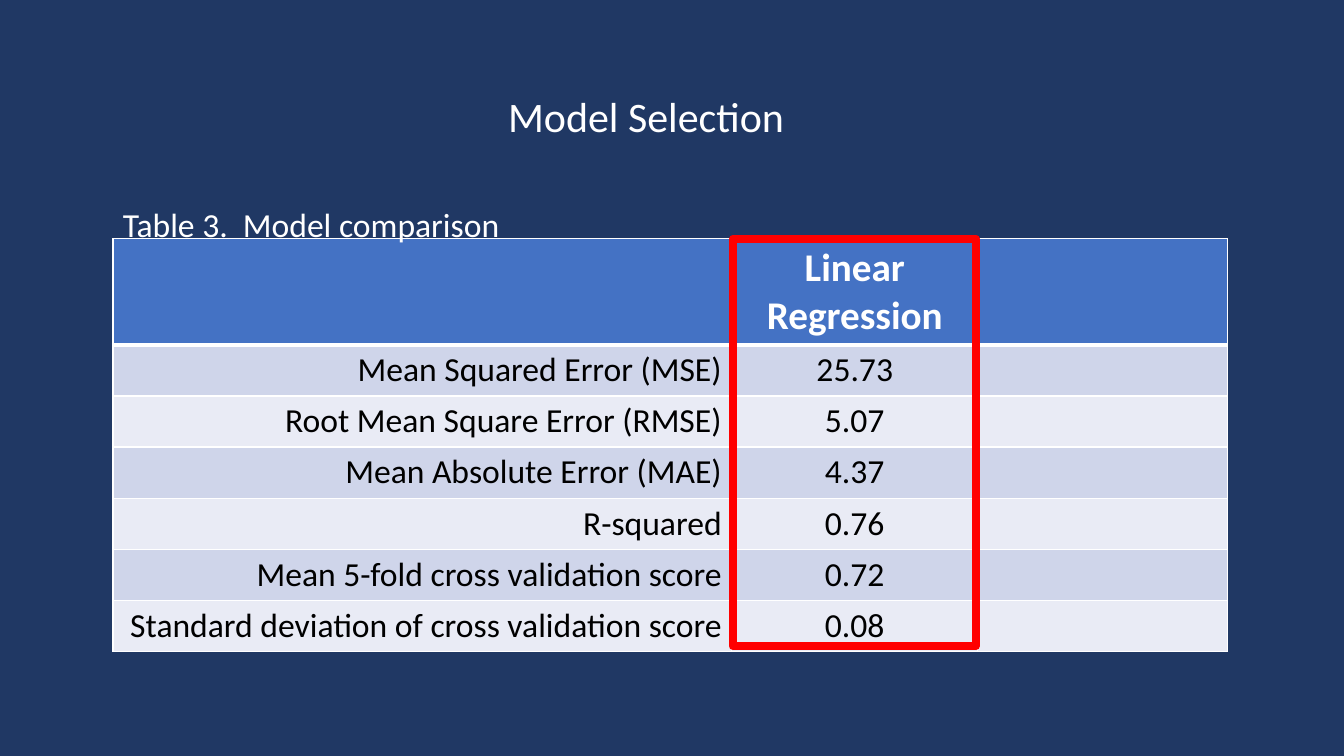
from dataclasses import dataclass

from lxml import etree
from pptx import Presentation
from pptx.dml.color import RGBColor
from pptx.enum.shapes import MSO_SHAPE
from pptx.enum.text import MSO_ANCHOR, PP_ALIGN
from pptx.oxml.ns import qn
from pptx.util import Inches, Pt

LEFT, CENTER, RIGHT = PP_ALIGN.LEFT, PP_ALIGN.CENTER, PP_ALIGN.RIGHT
MIDDLE = MSO_ANCHOR.MIDDLE
RECT = MSO_SHAPE.RECTANGLE


@dataclass(frozen=True)
class Theme:
    font: str = "Calibri"
    back: str = "203864"
    head: str = "4472C4"
    bands: tuple = ("CFD5EA", "E9EBF5")
    white: str = "FFFFFF"
    black: str = "000000"
    mark: str = "FF0000"
    title: int = 30
    label: int = 28
    body: int = 24
    thin: int = 1
    thick: int = 3
    frame: int = 6


THEME = Theme()

# Grid lengths: one column or row is a tenth of an inch
COLS, ROWS = 133.33, 75
TITLE = (9.2, 4, 115, 14.5)
TABLE = (11.2, 23.7, 110.5, 40.4)
WIDTHS = (61.4, 24.4, 24.8)
HEAD_ROW, BODY_ROW = 10.4, 5

SCORES = [
    ("Mean Squared Error (MSE)", "25.73"),
    ("Root Mean Square Error (RMSE)", "5.07"),
    ("Mean Absolute Error (MAE)", "4.37"),
    ("R-squared", "0.76"),
    ("Mean 5-fold cross validation score", "0.72"),
    ("Standard deviation of cross validation score", "0.08"),
]


def grid(n):
    return Inches(n / 10)


def color(code):
    return RGBColor.from_string(code)


def paint(fill, code):
    fill.solid()
    fill.fore_color.rgb = color(code)


def write(frame, text, size=THEME.body, ink=THEME.white, bold=False,
          align=LEFT, space=1.0):
    para = frame.paragraphs[0]
    para.alignment = align
    para.line_spacing = space
    run = para.add_run()
    run.text = text
    font = run.font
    font.name, font.size, font.bold = THEME.font, Pt(size), bold
    font.color.rgb = color(ink)


def edge(cell, side, width):
    props = cell._tc.get_or_add_tcPr()
    line = etree.SubElement(props, qn("a:ln" + side), w=str(Pt(width)))
    fill = etree.SubElement(line, qn("a:solidFill"))
    etree.SubElement(fill, qn("a:srgbClr"), val=THEME.white)


def heading(slide, box):
    title = slide.shapes.title
    title.left, title.top, title.width, title.height = map(grid, box)
    frame = title.text_frame
    frame.word_wrap = True
    frame.vertical_anchor = MIDDLE
    # Uneven insets set the text a little left of and below the centre
    frame.margin_right, frame.margin_top = grid(6.2), grid(1.6)
    write(frame, "Model Selection", size=THEME.title, align=CENTER, space=0.9)


def scores(slide, box):
    rows = [("", "Linear Regression")] + SCORES
    table = slide.shapes.add_table(len(rows), len(WIDTHS),
                                   *map(grid, box)).table
    for col, width in zip(table.columns, WIDTHS):
        col.width = grid(width)
    for r, texts in enumerate(rows):
        head = r == 0
        table.rows[r].height = grid(HEAD_ROW if head else BODY_ROW)
        style = (dict(size=THEME.label, bold=True) if head
                 else dict(ink=THEME.black))
        for c in range(len(WIDTHS)):
            cell = table.cell(r, c)
            # Borders, with a thick rule under the header
            for side in "LRTB":
                rule = (r, side) in ((0, "B"), (1, "T"))
                edge(cell, side, THEME.thick if rule else THEME.thin)
            paint(cell.fill, THEME.head if head else THEME.bands[(r - 1) % 2])
            if c < len(texts) and texts[c]:
                write(cell.text_frame, texts[c],
                      align=CENTER if c else RIGHT, **style)


def caption(slide, box):
    x, y, w, _ = box
    label = slide.shapes.add_textbox(*map(grid, (x, y - 4, w, 5)))
    label.text_frame.word_wrap = True
    write(label.text_frame, "Table 3.  Model comparison")


def focus(slide, box):
    x, y, _, h = box
    spot = (x + WIDTHS[0] + 0.1, y, WIDTHS[1] - 0.3, h)
    frame = slide.shapes.add_shape(RECT, *map(grid, spot))
    frame.shadow.inherit = False
    frame.fill.background()
    frame.line.color.rgb = color(THEME.mark)
    frame.line.width = Pt(THEME.frame)


def main():
    deck = Presentation()
    deck.slide_width, deck.slide_height = grid(COLS), grid(ROWS)
    slide = deck.slides.add_slide(deck.slide_layouts[5])
    paint(slide.background.fill, THEME.back)
    heading(slide, TITLE)
    # Table, its caption and the frame round the chosen model
    for part in (scores, caption, focus):
        part(slide, TABLE)
    deck.save("out.pptx")


if __name__ == "__main__":
    main()
